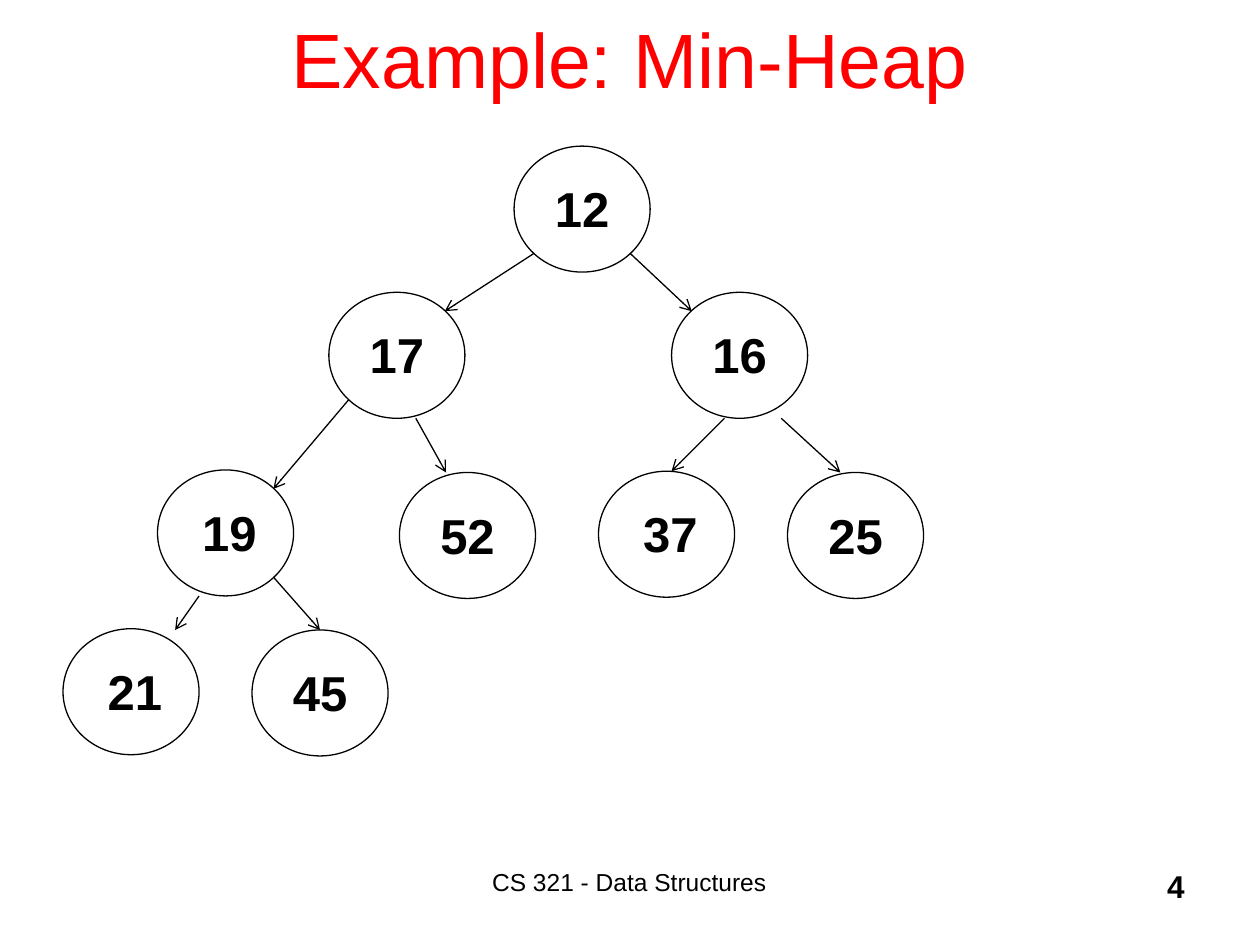
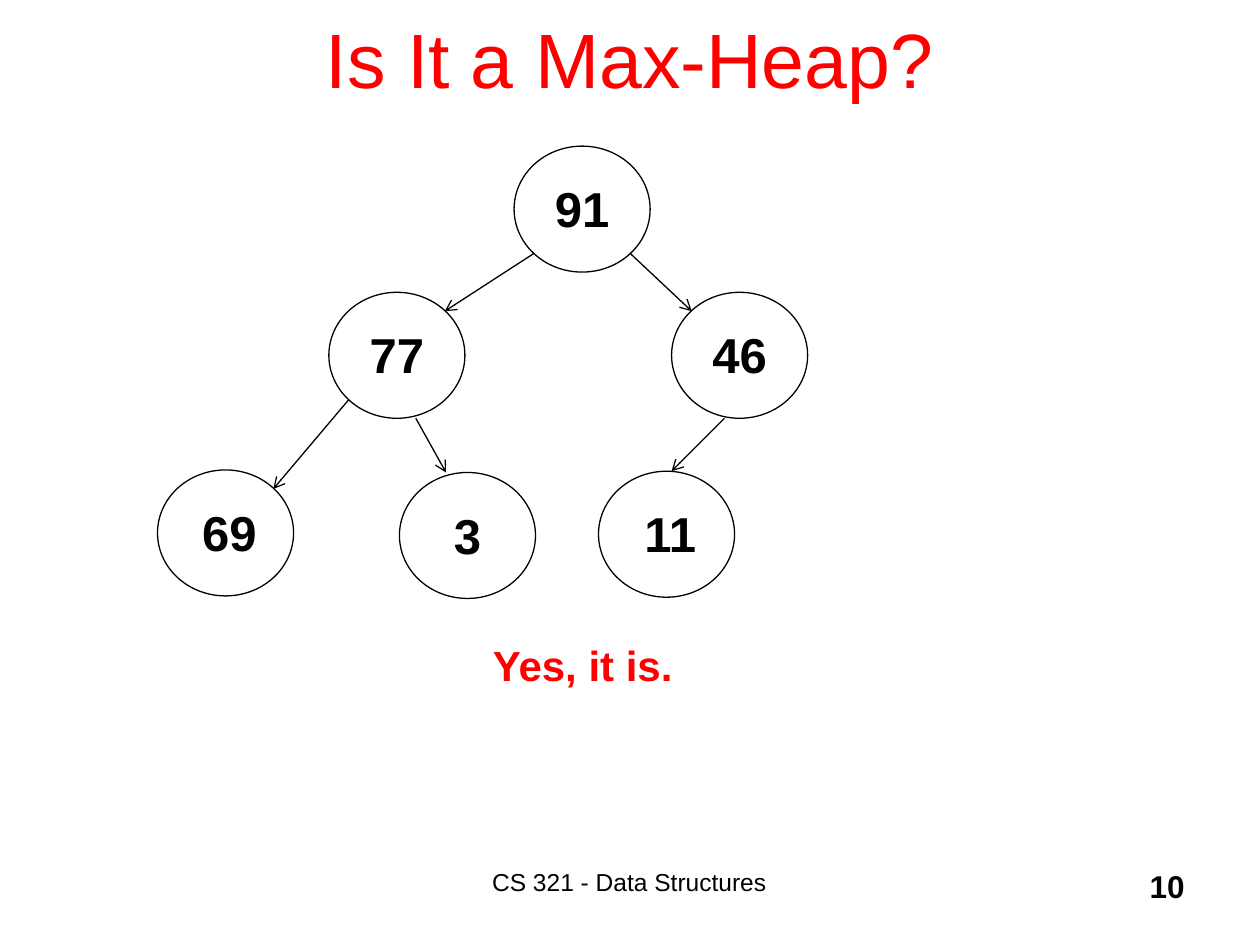
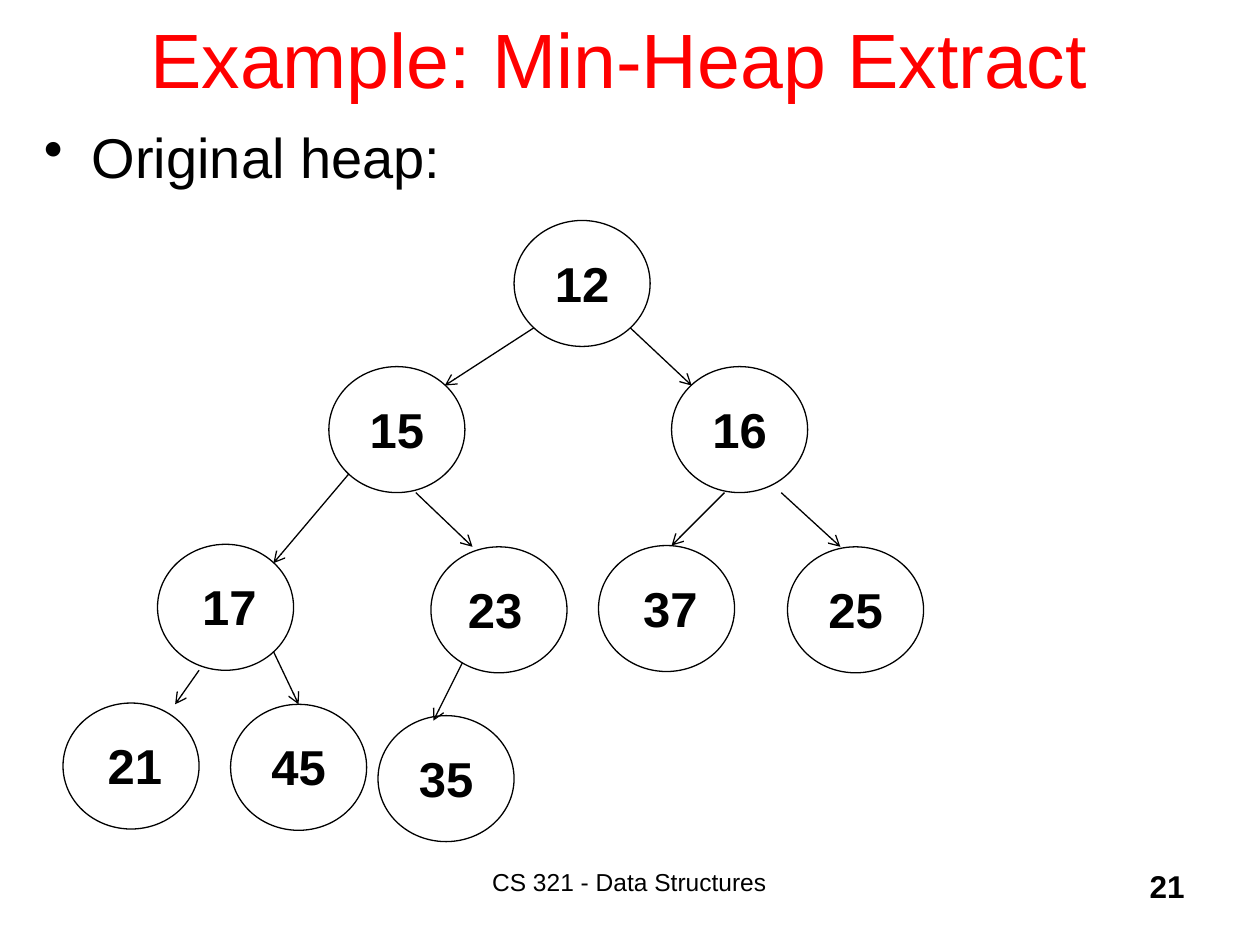
from dataclasses import dataclass, replace

from lxml import etree
from pptx import Presentation
from pptx.dml.color import RGBColor
from pptx.enum.shapes import MSO_CONNECTOR, MSO_SHAPE
from pptx.enum.text import MSO_ANCHOR, PP_ALIGN
from pptx.oxml.ns import qn
from pptx.util import Inches, Pt

LEFT, CENTER, RIGHT = PP_ALIGN.LEFT, PP_ALIGN.CENTER, PP_ALIGN.RIGHT
TOP, MIDDLE = MSO_ANCHOR.TOP, MSO_ANCHOR.MIDDLE
STRAIGHT, OVAL = MSO_CONNECTOR.STRAIGHT, MSO_SHAPE.OVAL


@dataclass(frozen=True)
class Theme:
    font: str = "Arial"
    ink: RGBColor = RGBColor(0x00, 0x00, 0x00)
    accent: RGBColor = RGBColor(0xFF, 0x00, 0x00)
    title: float = 44
    body: float = 32
    key: float = 28
    answer: float = 24
    number: float = 18
    footer: float = 14
    line: float = 0.75
    space_before: float = 3


THEME = Theme()

# Boxes: left, top, width, height in inches
TITLE_BOX = (0.75, -0.17, 8.5, 1.25)
BODY_BOX = (0.25, 0.92, 9.5, 6)
ANSWER_BOX = (3.81, 5.03, 1.63, 0.5)
FOOTER_BOX = (3.08, 6.83, 3.83, 0.5)
NUMBER_BOX = (7.42, 6.83, 2.08, 0.5)
TREE_LEFT, TREE_TOP, LOWER_TREE_TOP = 0.5, 1.16, 1.75

NODE_W, NODE_H = 1.08, 1
KEY_W, KEY_H, KEY_DROP = 0.64, 0.57, 0.21

# Points on a node's outline, from its top left corner
UPPER_LEFT, UPPER_RIGHT = (0.16, 0.15), (0.92, 0.15)
LOWER_LEFT, LOWER_RIGHT = (0.16, 0.85), (0.92, 0.85)


@dataclass(frozen=True)
class Slot:
    """A node's place in the tree, and the arrow that reaches it."""
    x: float
    y: float
    nudge: float = 0             # shift of the key from the node's centre
    leaves: tuple = (0, 0)       # arrow start, from the parent's corner
    enters: tuple = (0, 0)       # arrow end, from this node's corner


# Slots in heap order: the parent of slot i is (i - 1) // 2
SLOTS = [
    Slot(3.58, 0),
    Slot(2.11, 1.16, 0, LOWER_LEFT, UPPER_RIGHT),
    Slot(4.83, 1.16, 0, LOWER_RIGHT, UPPER_LEFT),
    Slot(0.75, 2.57, 0.03, LOWER_LEFT, UPPER_RIGHT),
    Slot(2.67, 2.59, 0, (0.69, 1), (0.37, 0)),
    Slot(4.25, 2.58, 0.03, (0.42, 1), (0.58, 0)),
    Slot(5.75, 2.59, 0, (0.87, 1), (0.42, 0)),
    Slot(0, 3.83, 0.03, (0.33, 1), (0.89, 0.01)),
    Slot(1.5, 3.84, 0, LOWER_RIGHT, (0.54, 0)),
    Slot(2.5, 3.93, 0, (0.25, 0.92), (0.44, 0.04)),
]

# The ten-key tree makes room for its last leaf
WIDE_SLOTS = list(SLOTS)
WIDE_SLOTS[4] = replace(SLOTS[4], x=2.92, nudge=-0.03, enters=(0.33, 0))
WIDE_SLOTS[8] = replace(SLOTS[8], x=1.33)


def add_text(slide, box, text, size, color=THEME.ink, bold=False, align=LEFT,
             anchor=TOP, wrap=True, space_before=0):
    frame = slide.shapes.add_textbox(*map(Inches, box)).text_frame
    frame.word_wrap = wrap
    frame.vertical_anchor = anchor
    paragraph = frame.paragraphs[0]
    paragraph.text = text
    paragraph.alignment = align
    paragraph.space_before = Pt(space_before)
    font = paragraph.font
    font.name, font.size, font.bold = THEME.font, Pt(size), bold
    font.color.rgb = color
    return paragraph


def add_node(slide, left, top, key, nudge):
    circle = slide.shapes.add_shape(
        OVAL, *map(Inches, (left, top, NODE_W, NODE_H)))
    circle.shadow.inherit = False
    circle.fill.background()
    circle.line.color.rgb = THEME.ink
    circle.line.width = Pt(THEME.line)
    key_left = left + (NODE_W - KEY_W) / 2 + nudge
    add_text(slide, (key_left, top + KEY_DROP, KEY_W, KEY_H), str(key),
             THEME.key, bold=True, align=CENTER, wrap=False,
             space_before=THEME.space_before)


def add_arrow(slide, start, end):
    arrow = slide.shapes.add_connector(STRAIGHT, *map(Inches, start + end))
    arrow.line.color.rgb = THEME.ink
    arrow.line.width = Pt(THEME.line)
    etree.SubElement(arrow.line._get_or_add_ln(), qn("a:tailEnd"), type="arrow")
    etree.SubElement(arrow._element.spPr, qn("a:effectLst"))


def add_tree(slide, left, top, keys, slots=SLOTS):
    def place(slot, point=(0, 0)):
        return left + slot.x + point[0], top + slot.y + point[1]

    for i, (key, slot) in enumerate(zip(keys, slots)):
        add_node(slide, *place(slot), key, slot.nudge)
        if i > 0:
            parent = slots[(i - 1) // 2]
            add_arrow(slide, place(parent, slot.leaves),
                      place(slot, slot.enters))


def add_bullet(slide, box, text):
    paragraph = add_text(slide, box, text, THEME.body,
                         space_before=THEME.space_before)
    properties = paragraph._p.get_or_add_pPr()
    properties.set("marL", str(Inches(0.38)))
    properties.set("indent", str(Inches(-0.38)))
    bullet = etree.Element(qn("a:buChar"), char="•")
    properties.find(qn("a:spcBef")).addnext(bullet)


def add_heap_slide(deck, title, number):
    """A slide with the shared title, footer and number."""
    slide = deck.slides.add_slide(deck.slide_layouts[6])
    add_text(slide, TITLE_BOX, title, THEME.title, THEME.accent,
             align=CENTER, anchor=MIDDLE)
    add_text(slide, FOOTER_BOX, "CS 321 - Data Structures", THEME.footer,
             align=CENTER)
    add_text(slide, NUMBER_BOX, str(number), THEME.number, bold=True,
             align=RIGHT)
    return slide


def main():
    deck = Presentation()
    deck.slide_width, deck.slide_height = Inches(10), Inches(7.5)

    # Min-heap example
    min_heap = add_heap_slide(deck, "Example: Min-Heap", 4)
    add_tree(min_heap, TREE_LEFT, TREE_TOP,
             [12, 17, 16, 19, 52, 37, 25, 21, 45])

    # Max-heap question and its answer
    max_heap = add_heap_slide(deck, "Is It a Max-Heap?", 10)
    add_tree(max_heap, TREE_LEFT, TREE_TOP, [91, 77, 46, 69, 3, 11])
    add_text(max_heap, ANSWER_BOX, "Yes, it is. ", THEME.answer, THEME.accent,
             bold=True, align=CENTER, space_before=THEME.space_before)

    # Heap before the extraction
    extract = add_heap_slide(deck, "Example: Min-Heap Extract ", 21)
    add_bullet(extract, BODY_BOX, "Original heap:")
    add_tree(extract, TREE_LEFT, LOWER_TREE_TOP,
             [12, 15, 16, 17, 23, 37, 25, 21, 45, 35], WIDE_SLOTS)

    deck.save("out.pptx")


if __name__ == "__main__":
    main()
